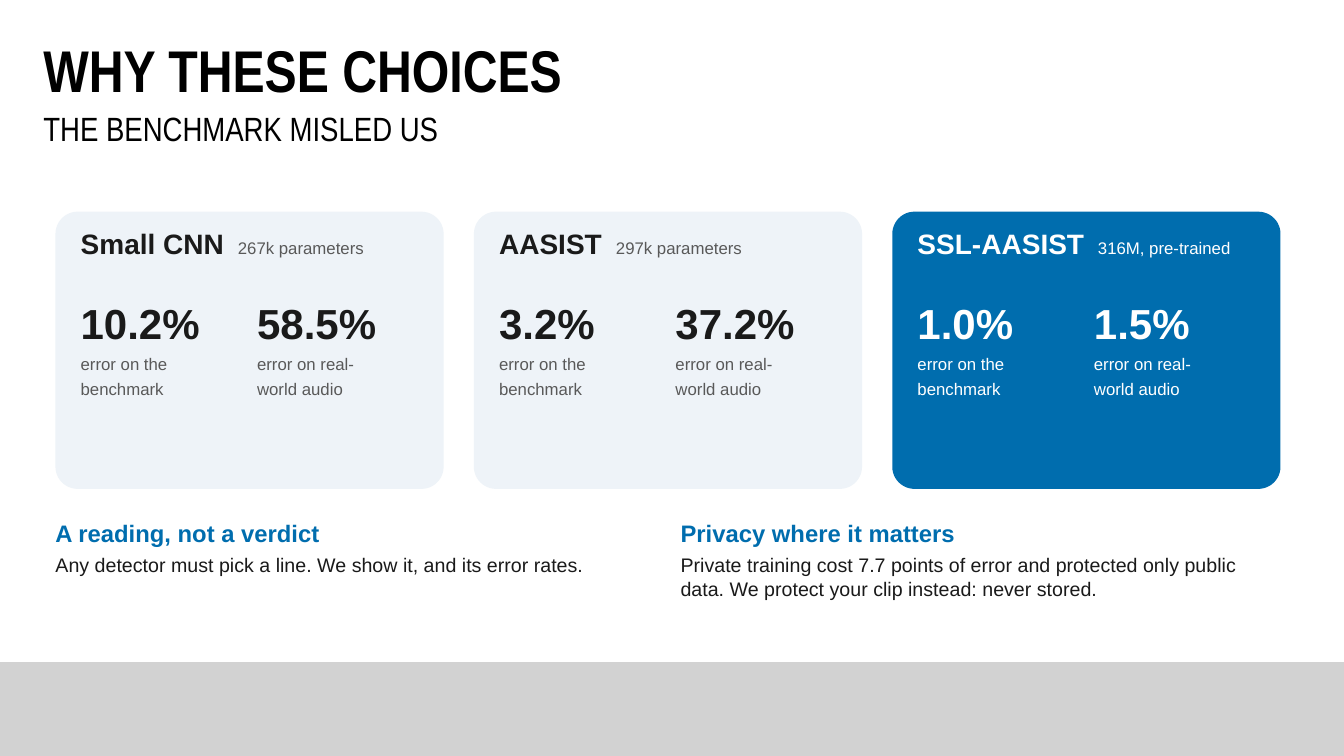
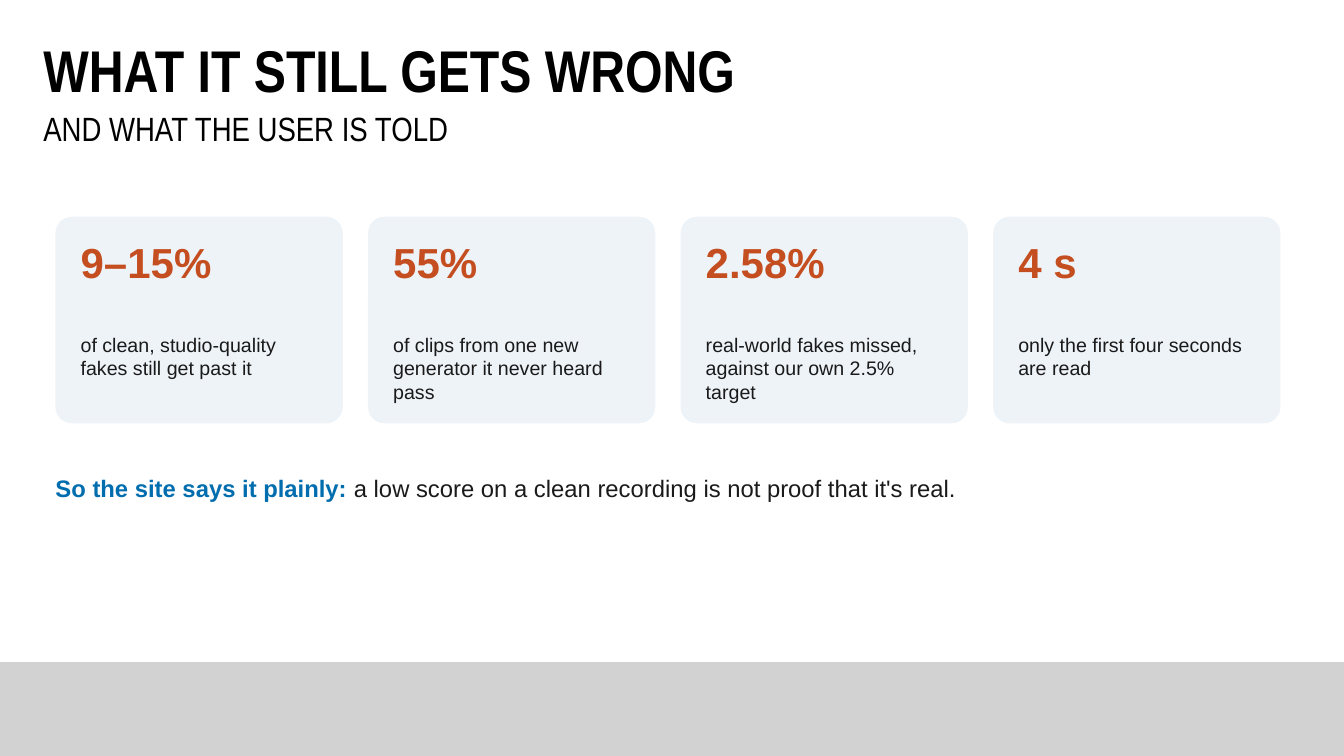
"""Build two slides on the choice of detector and its limits."""
import dataclasses
import typing

import lxml.etree
import pptx
import pptx.dml.color
import pptx.enum.shapes
import pptx.oxml.ns
import pptx.slide
import pptx.text.text
import pptx.util

WIDE, HIGH = 13.33, 7.5
LEFT, SPAN, PAD = 0.55, 12.15, 0.25
FACE, THIN = "Arial", "Arial Narrow"
HUES = {
    "white": "FFFFFF",
    "black": "000000",
    "ink": "1A1A1A",
    "grey": "595959",
    "band": "D2D2D2",
    "pale": "EEF3F8",
    "blue": "006DAE",
    "rust": "C44E1F",
}


class Box(typing.NamedTuple):
    """Place and size in inches."""
    x: float
    y: float
    w: float
    h: float


class Bit(typing.NamedTuple):
    """A run of text in one style."""
    text: str
    size: int
    hue: str
    bold: bool = False
    face: str = FACE


Line = typing.Sequence[Bit]


@dataclasses.dataclass(frozen=True)
class Model:
    """A detector, its scale and its two error rates."""
    name: str
    scale: str
    stop: float
    rates: tuple[str, str]
    prime: bool = False


@dataclasses.dataclass(frozen=True)
class Fact:
    """A short head with the words that explain it."""
    head: str
    body: str


MODELS = (
    Model("Small CNN", "267k parameters", 1.56, ("10.2%", "58.5%")),
    Model("AASIST", "297k parameters", 1.16, ("3.2%", "37.2%")),
    Model("SSL-AASIST", "316M, pre-trained", 1.79, ("1.0%", "1.5%"), True),
)
TESTS = (("error on the", "benchmark"), ("error on real-", "world audio"))
NOTES = (
    Fact("A reading, not a verdict",
         "Any detector must pick a line. We show it, and its error rates."),
    Fact("Privacy where it matters",
         "Private training cost 7.7 points of error and protected only public "
         "data. We protect your clip instead: never stored."),
)
FLAWS = (
    Fact("9–15%", "of clean, studio-quality fakes still get past it"),
    Fact("55%", "of clips from one new generator it never heard pass"),
    Fact("2.58%", "real-world fakes missed, against our own 2.5% target"),
    Fact("4 s", "only the first four seconds are read"),
)


def shade(hue: str) -> pptx.dml.color.RGBColor:
    """Look up a colour by name."""
    return pptx.dml.color.RGBColor.from_string(HUES[hue])


def split(count: int, gap: float, top: float, high: float) -> list[Box]:
    """Share the content width among equal columns."""
    wide = (SPAN - gap * (count - 1)) / count
    return [Box(LEFT + i * (wide + gap), top, wide, high) for i in range(count)]


def inch(box: Box) -> list[int]:
    """Turn a box into slide units."""
    return [pptx.util.Inches(side) for side in box]


def panel(slide: pptx.slide.Slide, box: Box, hue: str, curve: float = 0) -> None:
    """Draw a filled panel, rounded if it has a curve."""
    kinds = pptx.enum.shapes.MSO_SHAPE
    kind = kinds.ROUNDED_RECTANGLE if curve else kinds.RECTANGLE
    shape = slide.shapes.add_shape(kind, *inch(box))
    if curve:
        shape.adjustments[0] = curve
    shape.shadow.inherit = False
    shape.fill.solid()
    shape.fill.fore_color.rgb = shade(hue)
    shape.line.fill.background()


def write(slide: pptx.slide.Slide, box: Box, lines: typing.Sequence[Line],
          after: float = 4) -> pptx.text.text.TextFrame:
    """Write styled lines in a box without margins."""
    frame = slide.shapes.add_textbox(*inch(box)).text_frame
    frame.word_wrap = True
    frame.margin_left = frame.margin_right = 0
    frame.margin_top = frame.margin_bottom = 0
    for i, line in enumerate(lines):
        para = frame.add_paragraph() if i else frame.paragraphs[0]
        para.space_after = pptx.util.Pt(after)
        for bit in line:
            run = para.add_run()
            run.text = bit.text
            run.font.size = pptx.util.Pt(bit.size)
            run.font.name = bit.face
            run.font.bold = bit.bold
            run.font.color.rgb = shade(bit.hue)
    return frame


def tab(para: typing.Any, stop: float) -> None:
    """Give a paragraph one left tab stop."""
    name = pptx.oxml.ns.qn
    tabs = lxml.etree.SubElement(para._p.get_or_add_pPr(), name("a:tabLst"))
    lxml.etree.SubElement(tabs, name("a:tab"),
                          pos=str(pptx.util.Inches(stop)), algn="l")


def start(deck: typing.Any, title: str, under: str) -> pptx.slide.Slide:
    """Add a blank slide with its band and titles."""
    slide = deck.slides.add_slide(deck.slide_layouts[6])
    panel(slide, Box(0, 6.57, WIDE, HIGH - 6.57), "band")
    for top, high, bit in (
        (1.12, 0.41, Bit(under, 24, "black", face=THIN)),
        (0.41, 0.71, Bit(title, 42, "black", True, THIN)),
    ):
        frame = write(slide, Box(0.43, top, 7.95, high), [[bit]], 0)
        frame.paragraphs[0].line_spacing = 0.9


def begin(deck: typing.Any, title: str, under: str) -> pptx.slide.Slide:
    """Start a slide and hand it back."""
    start(deck, title, under)
    return deck.slides[len(deck.slides) - 1]


def rate(slide: pptx.slide.Slide, box: Box, model: Model) -> None:
    """Draw one model card with its two rates."""
    fill, ink, soft = (("blue", "white", "white") if model.prime
                       else ("pale", "ink", "grey"))
    panel(slide, box, fill, 0.08)
    left = box.x + PAD
    head = [Bit(model.name, 20, ink, True), Bit("\t" + model.scale, 12, soft)]
    frame = write(slide, Box(left, box.y + 0.15, 3.4, 0.5), [head])
    tab(frame.paragraphs[0], model.stop)
    for i, (score, test) in enumerate(zip(model.rates, TESTS)):
        lines = [[Bit(score, 30, ink, True)]]
        lines += [[Bit(part, 12, soft)] for part in test]
        write(slide, Box(left + 1.75 * i, box.y + 0.85, 1.6, 1.6), lines)


def flaw(slide: pptx.slide.Slide, box: Box, fact: Fact) -> None:
    """Draw one card that states a flaw."""
    panel(slide, box, "pale", 0.08)
    left, wide = box.x + PAD, 2.4
    write(slide, Box(left, box.y + 0.2, wide, 0.8),
          [[Bit(fact.head, 30, "rust", True)]])
    write(slide, Box(left, box.y + 1.15, wide, 0.8),
          [[Bit(fact.body, 14, "ink")]])


def main() -> None:
    """Build and save the deck."""
    deck = pptx.Presentation()
    deck.slide_width = pptx.util.Inches(WIDE)
    deck.slide_height = pptx.util.Inches(HIGH)

    slide = begin(deck, "WHY THESE CHOICES", "THE BENCHMARK MISLED US")
    for box, model in zip(split(3, 0.3, 2.1, 2.75), MODELS):
        rate(slide, box, model)
    for box, note in zip(split(2, PAD, 5.15, 1.2), NOTES):
        write(slide, box, [[Bit(note.head, 17, "blue", True)],
                           [Bit(note.body, 14, "ink")]])

    slide = begin(deck, "WHAT IT STILL GETS WRONG", "AND WHAT THE USER IS TOLD")
    for box, fact in zip(split(4, PAD, 2.15, 2.05), FLAWS):
        flaw(slide, box, fact)
    write(slide, Box(LEFT, 4.7, SPAN, 1.2), [[
        Bit("So the site says it plainly: ", 17, "blue", True),
        Bit("a low score on a clean recording is not proof that it's real.",
            17, "ink"),
    ]])
    deck.save("out.pptx")


if __name__ == "__main__":
    main()
